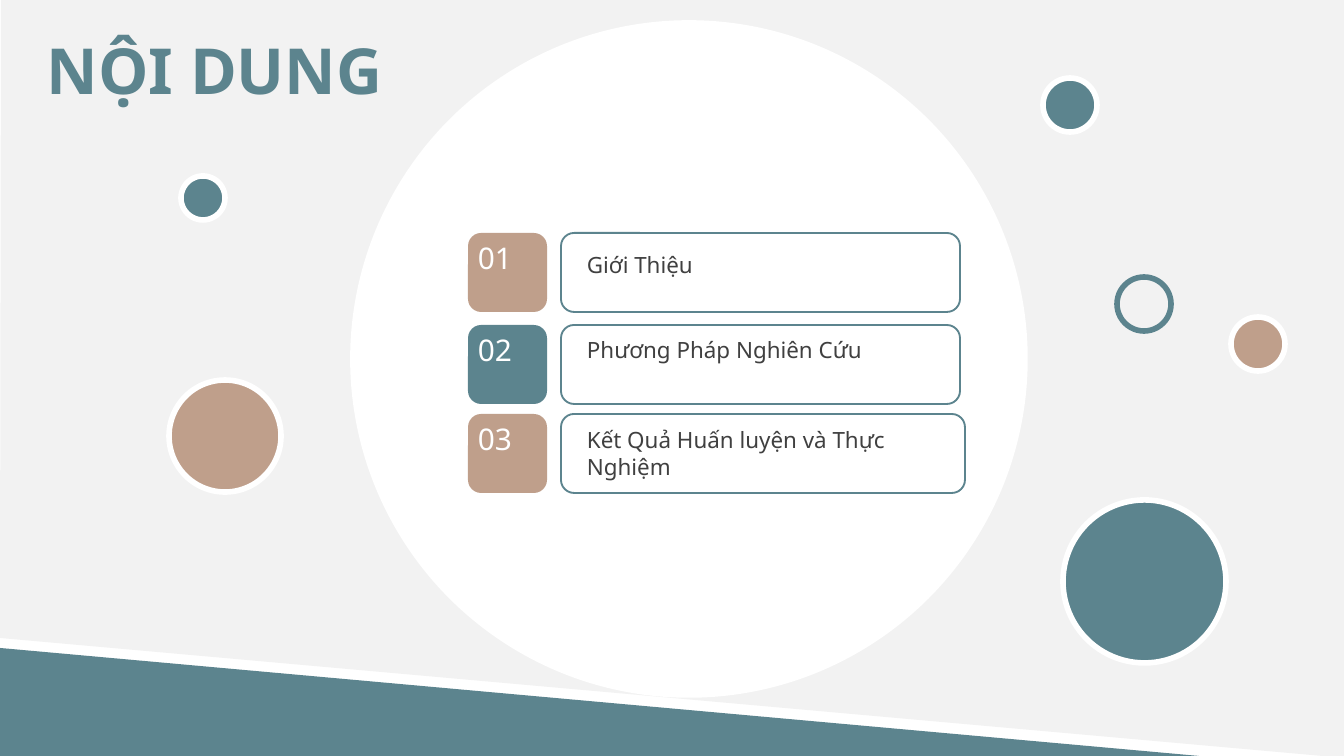
from pptx import Presentation
from pptx.dml.color import RGBColor
from pptx.enum.shapes import MSO_SHAPE
from pptx.enum.text import MSO_ANCHOR
from pptx.util import Emu, Pt

UNIT = 914400 / 134.4  # EMU in one px
TEAL = RGBColor(0x5C, 0x84, 0x8E)
TAN = RGBColor(0xBF, 0x9F, 0x8B)
PALE = RGBColor(0xF2, 0xF2, 0xF2)
WHITE = RGBColor(0xFF, 0xFF, 0xFF)
DARK = RGBColor(0x40, 0x40, 0x40)

# left, top, size, fill, line
DOTS = [
    (353, 23, 672, WHITE, WHITE),
    (181, 176, 44, TEAL, WHITE),
    (1043, 78, 54, TEAL, WHITE),
    (1231, 317, 54, TAN, WHITE),
    (1117, 277, 54, None, TEAL),
    (1063, 500, 163, TEAL, WHITE),
    (169, 380, 112, TAN, WHITE),
]

# top, bar width, label drop, label height, fill, label
ROWS = [
    (233, 399, 9, 62, TAN, "Giới Thiệu"),
    (325, 399, 2, 62, TEAL, "Phương Pháp Nghiên Cứu"),
    (414, 404, 3, 99, TAN, "Kết Quả Huấn luyện và Thực Nghiệm"),
]


def px(*vals):
    return [Emu(round(val * UNIT)) for val in vals]


class Deck:
    font = "Noto Sans"

    def __init__(self, wide, high):
        self.file = Presentation()
        self.file.slide_width, self.file.slide_height = px(wide, high)
        self.slide = self.file.slides.add_slide(self.file.slide_layouts[6])
        self.layer = self.slide.shapes

    def group(self):
        """Send the next elements into a new group."""
        self.layer = self.slide.shapes.add_group_shape().shapes

    def paint(self, item, fill=None, line=None, weight=1):
        item.shadow.inherit = False
        if fill is None:
            item.fill.background()
        else:
            item.fill.solid()
            item.fill.fore_color.rgb = fill
        if line is None:
            item.line.fill.background()
        else:
            item.line.color.rgb = line
            item.line.width = Pt(weight)

    def shape(self, kind, box, **style):
        self.paint(self.layer.add_shape(kind, *px(*box)), **style)

    def outline(self, points, **style):
        pen = self.layer.build_freeform(*points[0], scale=UNIT)
        pen.add_line_segments(points[1:], close=True)
        self.paint(pen.convert_to_shape(), **style)

    def text(self, words, box, size, color, bold=False,
             inset=(13, 7), anchor=MSO_ANCHOR.TOP):
        frame = self.layer.add_textbox(*px(*box)).text_frame
        frame.word_wrap = True
        frame.vertical_anchor = anchor
        side, edge = px(*inset)
        frame.margin_left = frame.margin_right = side
        frame.margin_top = frame.margin_bottom = edge
        run = frame.paragraphs[0].add_run()
        run.text = words
        run.font.name = self.font
        run.font.size = Pt(size)
        run.font.bold = bold
        run.font.color.rgb = color


def main():
    deck = Deck(1344, 756)
    deck.outline([(1, 0), (1345, 0), (1345, 758), (0, 638)], fill=PALE)
    deck.shape(MSO_SHAPE.RIGHT_TRIANGLE, (0, 648, 1199, 108), fill=TEAL)
    for left, top, size, fill, line in DOTS:
        deck.shape(MSO_SHAPE.OVAL, (left, top, size, size),
                   fill=fill, line=line, weight=3)
    deck.text("NỘI DUNG", (34, 24, 405, 90), 34, TEAL, bold=True,
              anchor=MSO_ANCHOR.MIDDLE)

    for num, (top, wide, drop, high, fill, label) in enumerate(ROWS, 1):
        deck.group()
        deck.shape(MSO_SHAPE.ROUNDED_RECTANGLE, (561, top, wide, 79), line=TEAL)
        deck.text(label, (570, top + drop, 407, high), 12, DARK, inset=(17, 9))
        deck.shape(MSO_SHAPE.ROUNDED_RECTANGLE, (468, top, 79, 79), fill=fill)
        deck.text(f"{num:02}", (465, top, 102, 70), 16, WHITE)

    deck.file.save("out.pptx")


if __name__ == "__main__":
    main()
